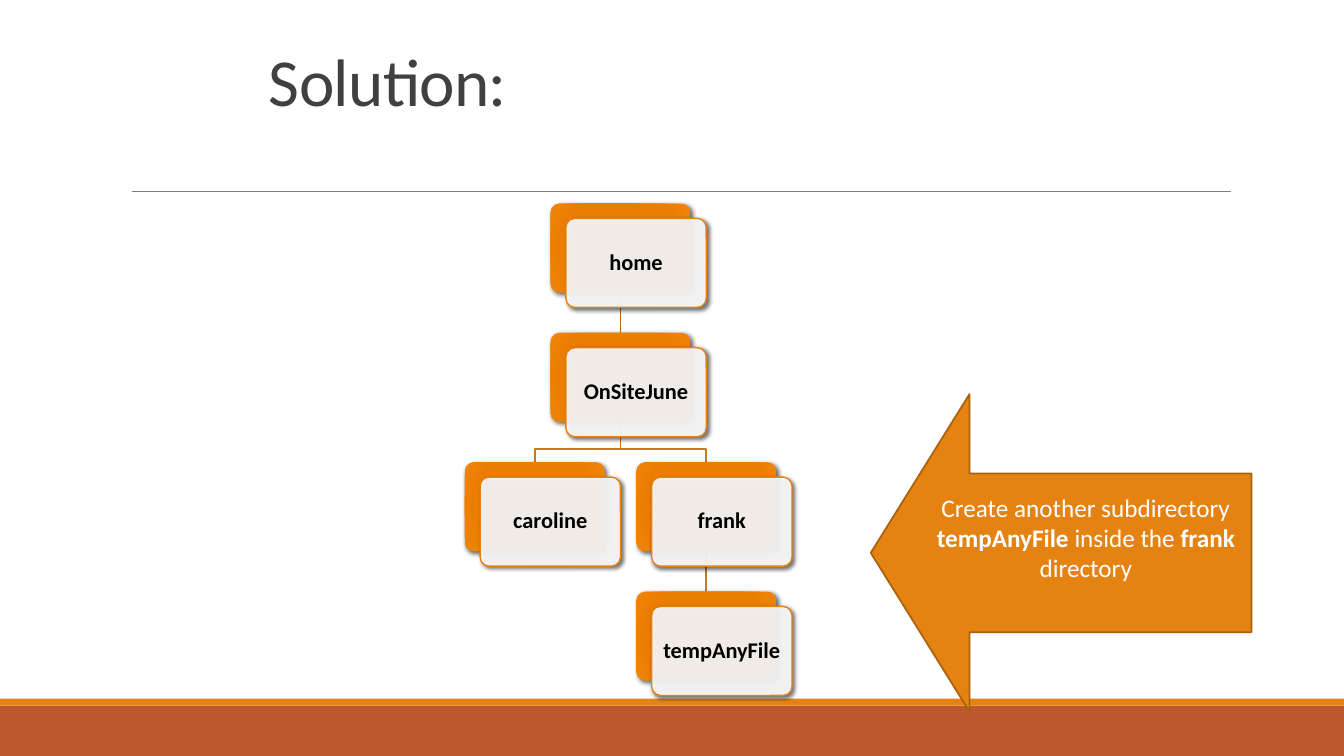
from lxml import etree
from pptx import Presentation
from pptx.dml.color import RGBColor
from pptx.enum.shapes import MSO_CONNECTOR, MSO_SHAPE
from pptx.enum.text import MSO_ANCHOR, PP_ALIGN
from pptx.oxml import parse_xml
from pptx.oxml.ns import qn
from pptx.util import Pt

RECTANGLE = MSO_SHAPE.RECTANGLE
ROUNDED = MSO_SHAPE.ROUNDED_RECTANGLE
LEFT_ARROW = MSO_SHAPE.LEFT_ARROW
STRAIGHT = MSO_CONNECTOR.STRAIGHT
CENTER = PP_ALIGN.CENTER
MIDDLE = MSO_ANCHOR.MIDDLE
BOTTOM = MSO_ANCHOR.BOTTOM
TOP_SITE, BOTTOM_SITE = 0, 2
NAMESPACE = "http://schemas.openxmlformats.org/drawingml/2006/main"

FONT = "Calibri"
ORANGE, RUST = "E48312", "BD582C"
TITLE = "Solution:"
# directory: (column in half steps, row, parent)
DIRECTORIES = {
    "home": (1, 0, None),
    "OnSiteJune": (1, 1, "home"),
    "caroline": (0, 2, "OnSiteJune"),
    "frank": (2, 2, "OnSiteJune"),
    "tempAnyFile": (2, 3, "frank"),
}
LINK_COLORS = {"OnSiteJune": "B7690E"}
LINK_COLOR = "CF7710"
HINT = [("Create another subdirectory ", False), ("tempAnyFile ", True),
        ("inside the ", False), ("frank", True), (" directory", False)]
GRADIENT = [(0, "E57B00"), (34, "E87D00"), (70, "EB7E00"), (100, "EF8407")]

TREE_LEFT, TREE_TOP = 331.9, 145.4
COLUMN_STEP, ROW_STEP = 61.25, 92.4
CARD_WIDTH, CARD_HEIGHT = 100.2, 63.6
CARD_SHIFT_X, CARD_SHIFT_Y = 11.1, 10.6
BEND_ABOVE_CHILD = 9.2


def color(hex_code):
    return RGBColor.from_string(hex_code)


def add_box(slide, kind, left, top, width, height, fill, line=None, weight=1):
    shape = slide.shapes.add_shape(kind, Pt(left), Pt(top), Pt(width), Pt(height))
    shape.shadow.inherit = False
    shape.fill.solid()
    shape.fill.fore_color.rgb = color(fill)
    if line:
        shape.line.color.rgb = color(line)
        shape.line.width = Pt(weight)
    else:
        shape.line.fill.background()
    return shape


def style_font(font, size, hex_code, bold=False):
    font.name, font.size, font.bold = FONT, Pt(size), bold
    font.color.rgb = color(hex_code)


def add_shadow(shape, blur):
    effects = shape._element.spPr.find(qn("a:effectLst"))
    effects.append(parse_xml(
        f'<a:outerShdw xmlns:a="{NAMESPACE}" blurRad="{Pt(blur)}" dist="{Pt(2)}" '
        'dir="2700000" algn="tl" rotWithShape="0"><a:srgbClr val="000000">'
        '<a:alpha val="60000"/></a:srgbClr></a:outerShdw>'))


def set_radial_gradient(shape):
    stops = "".join(f'<a:gs pos="{position * 1000}"><a:srgbClr val="{code}"/></a:gs>'
                    for position, code in GRADIENT)
    properties = shape._element.spPr
    properties.replace(properties.find(qn("a:solidFill")), parse_xml(
        f'<a:gradFill xmlns:a="{NAMESPACE}" rotWithShape="1"><a:gsLst>{stops}</a:gsLst>'
        '<a:path path="circle"><a:fillToRect l="100000" t="100000" r="100000" b="100000"/>'
        '</a:path></a:gradFill>'))


def add_directory(slide, name, column, row):
    """Draw the orange back and the translucent labelled card; return the back."""
    left, top = TREE_LEFT + column * COLUMN_STEP, TREE_TOP + row * ROW_STEP
    back = add_box(slide, ROUNDED, left, top, CARD_WIDTH, CARD_HEIGHT, ORANGE)
    set_radial_gradient(back)
    add_shadow(back, 3.5)
    card = add_box(slide, ROUNDED, left + CARD_SHIFT_X, top + CARD_SHIFT_Y,
                   CARD_WIDTH, CARD_HEIGHT, "FFFFFF", ORANGE)
    add_shadow(card, 3)
    card_color = card._element.spPr.find(qn("a:solidFill"))[0]
    etree.SubElement(card_color, qn("a:alpha")).set("val", "90000")
    back.adjustments[0] = card.adjustments[0] = 0.1

    frame = card.text_frame
    frame.text = name
    frame.word_wrap = True
    frame.vertical_anchor = MIDDLE
    frame.margin_left = frame.margin_right = Pt(5)
    frame.margin_top = frame.margin_bottom = Pt(5)
    paragraph = frame.paragraphs[0]
    paragraph.alignment, paragraph.line_spacing = CENTER, 0.9
    style_font(paragraph.runs[0].font, 16, "000000", True)
    return back


def add_line(slide, x1, y1, x2, y2, hex_code, weight):
    line = slide.shapes.add_connector(STRAIGHT, Pt(x1), Pt(y1), Pt(x2), Pt(y2))
    line.line.color.rgb = color(hex_code)
    line.line.width = Pt(weight)
    etree.SubElement(line._element.spPr, qn("a:effectLst"))
    return line


def add_link(slide, parent, child, hex_code):
    """Join two directories, with a bend when they are in different columns."""
    start_x, end_x = parent.left + parent.width // 2, child.left + child.width // 2
    start_y, end_y = parent.top + parent.height, child.top
    if start_x == end_x:
        link = add_line(slide, 0, 0, 0, 0, hex_code, 1.25)
        link.begin_connect(parent, BOTTOM_SITE)
        link.end_connect(child, TOP_SITE)
        return link
    bend_y = end_y - Pt(BEND_ABOVE_CHILD)
    builder = slide.shapes.build_freeform(start_x, start_y)
    builder.add_line_segments([(start_x, bend_y), (end_x, bend_y), (end_x, end_y)], close=False)
    link = builder.convert_to_shape()
    link.shadow.inherit = False
    link.fill.background()
    link.line.color.rgb = color(hex_code)
    link.line.width = Pt(1.25)
    return link


def add_title(slide):
    box = slide.shapes.add_textbox(Pt(185), Pt(22.3), Pt(594), Pt(67))
    frame = box.text_frame
    frame.text = TITLE
    frame.word_wrap = True
    frame.vertical_anchor = BOTTOM
    paragraph = frame.paragraphs[0]
    paragraph.line_spacing = 0.85
    style_font(paragraph.runs[0].font, 48, "404040")
    paragraph.runs[0].font._element.set("spc", "-50")


def add_hint(slide):
    arrow = add_box(slide, LEFT_ARROW, 622, 281.5, 272, 226.8, ORANGE, "A9610D", 1.25)
    arrow.adjustments[0], arrow.adjustments[1] = 0.5, 0.311
    frame = arrow.text_frame
    frame.word_wrap = True
    frame.vertical_anchor = MIDDLE
    frame.margin_bottom = Pt(25.6)
    paragraph = frame.paragraphs[0]
    paragraph.alignment = CENTER
    for text, bold in HINT:
        run = paragraph.add_run()
        run.text = text
        style_font(run.font, 18, "FFFFFF", bold)


def main():
    presentation = Presentation()
    presentation.slide_width, presentation.slide_height = Pt(960), Pt(540)
    slide = presentation.slides.add_slide(presentation.slide_layouts[6])
    add_box(slide, RECTANGLE, 0, 504, 960, 36, RUST)
    add_box(slide, RECTANGLE, 0, 499, 960, 5, ORANGE)
    add_line(slide, 94.3, 136.6, 879, 136.6, "808080", 0.5)
    add_title(slide)

    backs = {name: add_directory(slide, name, column, row)
             for name, (column, row, _) in DIRECTORIES.items()}
    for name, (_, _, parent) in DIRECTORIES.items():
        if parent:
            link = add_link(slide, backs[parent], backs[name], LINK_COLORS.get(name, LINK_COLOR))
            backs["home"]._element.addprevious(link._element)  # links lie behind the cards
    add_hint(slide)
    presentation.save("out.pptx")


if __name__ == "__main__":
    main()
